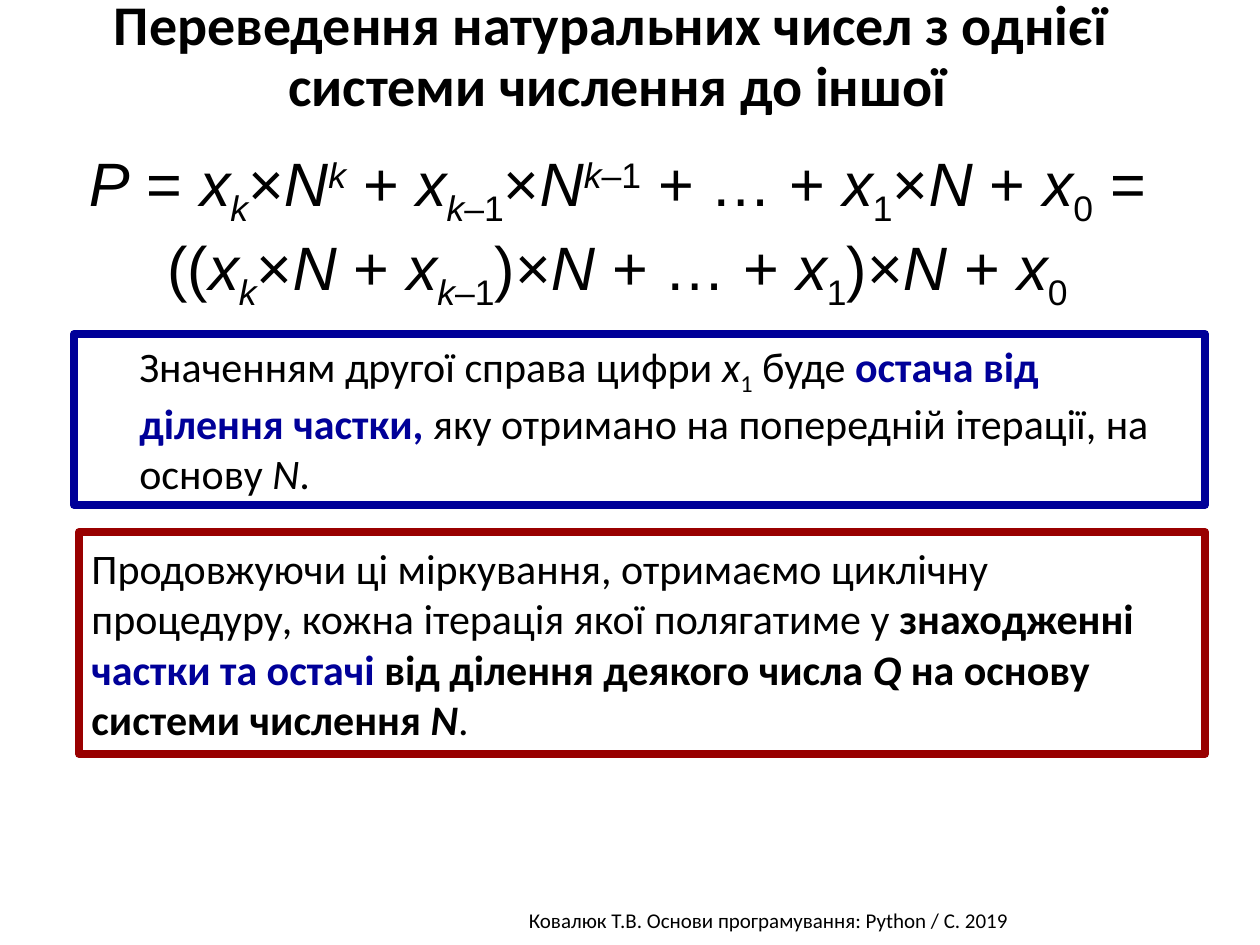
"""Build a slide on converting natural numbers between numeral systems."""
from dataclasses import dataclass
from typing import Optional

from pptx import Presentation
from pptx import util as u
from pptx.dml.color import RGBColor
from pptx.enum import shapes, text

SCALE = 914400 / 126
COLORS = {"black": "000000", "navy": "000099", "red": "990000"}
BASES = {"_": "-25000", "^": "30000"}
MID, TOP = text.MSO_ANCHOR.MIDDLE, text.MSO_ANCHOR.TOP
LEFT, CENTER = text.PP_ALIGN.LEFT, text.PP_ALIGN.CENTER


@dataclass(frozen=True)
class Run:
    """Text with marks: b bold, i italic, n navy, _ subscript, ^ superscript."""
    words: str
    marks: str = ""


@dataclass(frozen=True)
class Block:
    """A text block with its place in px and its style."""
    place: tuple[int, int, int, int]
    lines: list[list[Run]]
    size: int
    font: str = "Calibri"
    align: text.PP_ALIGN = LEFT
    anchor: text.MSO_ANCHOR = TOP
    frame: Optional[str] = None
    indent: int = 0
    hang: int = 0
    space: float = 1.0


def px(count: int) -> u.Emu:
    """Turn px into EMU."""
    return u.Emu(round(count * SCALE))


def color(name: str) -> RGBColor:
    """Look up a named color."""
    return RGBColor.from_string(COLORS[name])


def var(name: str, low: str = "", high: str = "") -> list[Run]:
    """Give an italic variable with an optional index and power."""
    runs = [Run(name, "i")]
    for part, mark in ((low, "_"), (high, "^")):
        if part:
            runs += [Run(char, "i" + mark) if char == "k" else Run(char, mark)
                     for char in part.partition("–1") if char]
    return runs


def join(*parts) -> list[Run]:
    """Chain plain strings and run lists into one list of runs."""
    runs = []
    for part in parts:
        runs += [Run(part)] if isinstance(part, str) else part
    return runs


def add_run(para, run: Run, block: Block) -> None:
    """Add one styled run to a paragraph."""
    item = para.add_run()
    item.text = run.words
    font = item.font
    font.name, font.size = block.font, u.Pt(block.size)
    font.bold, font.italic = "b" in run.marks, "i" in run.marks
    font.color.rgb = color("navy" if "n" in run.marks else "black")
    for mark, base in BASES.items():
        if mark in run.marks:
            item._r.get_or_add_rPr().set("baseline", base)


def draw(slide, block: Block) -> None:
    """Draw a block as a framed box or a plain text box."""
    place = [px(side) for side in block.place]
    if block.frame:
        shape = slide.shapes.add_shape(shapes.MSO_SHAPE.RECTANGLE, *place)
        shape.shadow.inherit = False
        shape.fill.background()
        shape.line.color.rgb = color(block.frame)
        shape.line.width = u.Pt(4.5)
    else:
        shape = slide.shapes.add_textbox(*place)
    body = shape.text_frame
    body.word_wrap = True
    body.auto_size = text.MSO_AUTO_SIZE.NONE
    body.vertical_anchor = block.anchor
    for num, line in enumerate(block.lines):
        para = body.add_paragraph() if num else body.paragraphs[0]
        para.alignment, para.line_spacing = block.align, block.space
        props = para._p.get_or_add_pPr()
        props.set("marL", str(px(block.indent)))
        props.set("indent", str(px(-block.hang)))
        for run in line:
            add_run(para, run, block)


BIG_N, X_K, X_PREV = var("N"), var("x", "k"), var("x", "k–1")
X_ONE, X_NIL = var("x", "1"), var("x", "0")
FORMULA = join(
    var("P"), " = ", X_K, "×", var("N", high="k"), " + ",
    X_PREV, "×", var("N", high="k–1"), " + … + ",
    X_ONE, "×", BIG_N, " + ", X_NIL, " = ((",
    X_K, "×", BIG_N, " + ", X_PREV, ")×", BIG_N, " + … + ",
    X_ONE, ")×", BIG_N, " + ", X_NIL)
DIGIT = join(
    "Значенням другої справа цифри ", X_ONE, " буде ",
    [Run("остача від ділення частки,", "bn")],
    " яку отримано на попередній ітерації, на основу ", BIG_N, ".")
CYCLE = [
    Run("Продовжуючи ці міркування, отримаємо циклічну процедуру, "
        "кожна ітерація якої полягатиме у "),
    Run("знаходженні ", "b"), Run("частки та остачі", "bn"),
    Run(" від ділення деякого числа ", "b"), Run("Q ", "bi"),
    Run("на основу системи числення ", "b"), Run("N", "bi"), Run(".")]
TITLE = [[Run("Переведення натуральних чисел з однієї ", "b")],
         [Run("системи числення до іншої", "b")]]
FOOTER = [Run("Ковалюк Т.В. Основи програмування: Python / C. 2019 ")]

BLOCKS = [
    Block((282, 901, 978, 38), [FOOTER], 12, align=CENTER),
    Block((79, 532, 1126, 222), [CYCLE], 24, anchor=MID, frame="red"),
    Block((72, 149, 1091, 160), [FORMULA], 35, "Arial", CENTER, MID),
    Block((74, 334, 1131, 171), [DIGIT], 24, frame="navy", indent=53),
    Block((0, -9, 1235, 135), TITLE, 32, align=CENTER,
          indent=53, hang=53, space=0.9),
]


def main() -> None:
    """Build and save the slide."""
    deck = Presentation()
    deck.slide_width, deck.slide_height = px(1260), px(945)
    slide = deck.slides.add_slide(deck.slide_layouts[6])
    for block in BLOCKS:
        draw(slide, block)
    deck.save("out.pptx")


if __name__ == "__main__":
    main()
